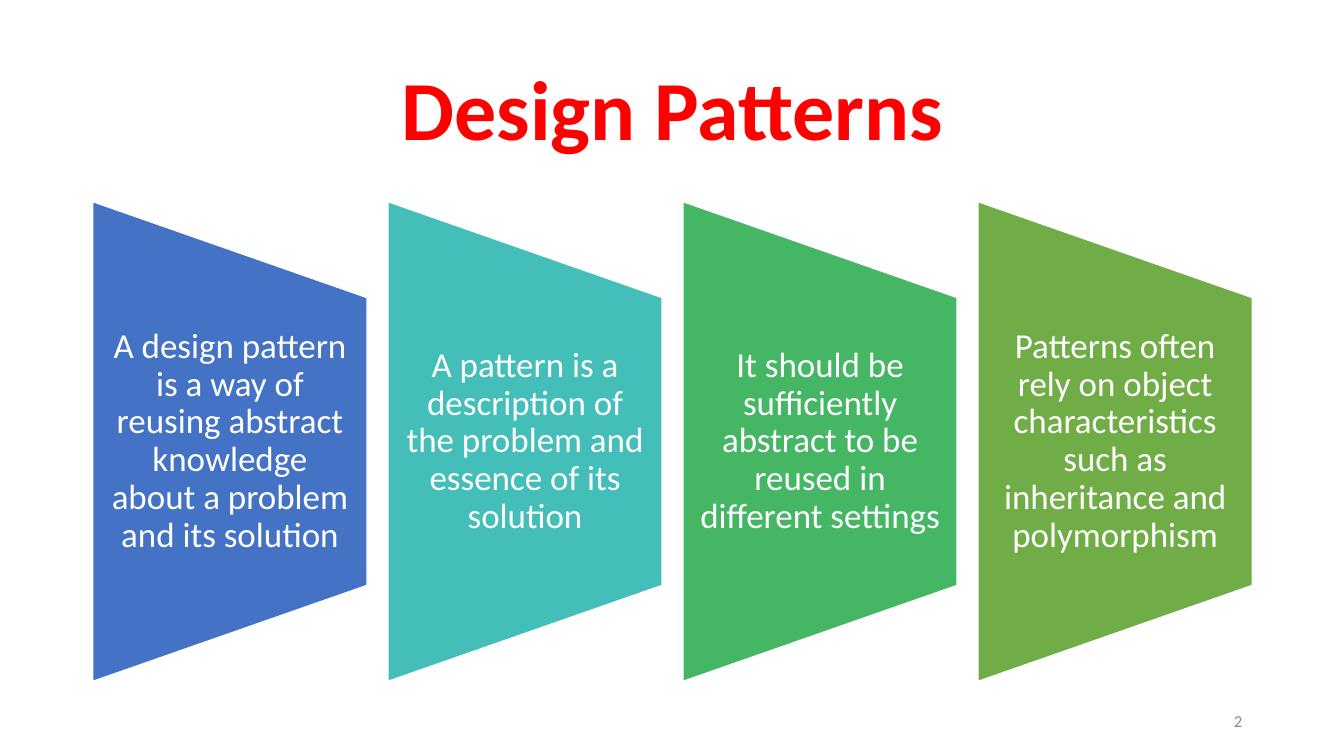
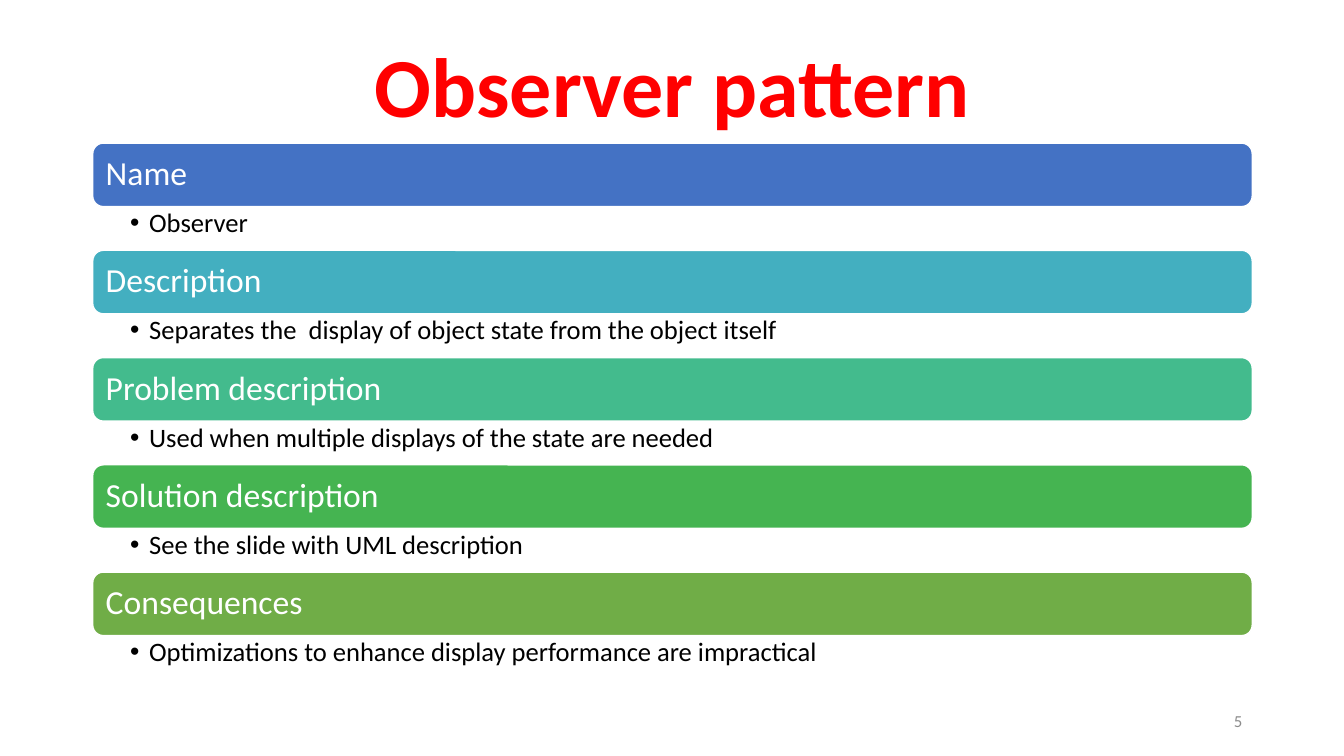
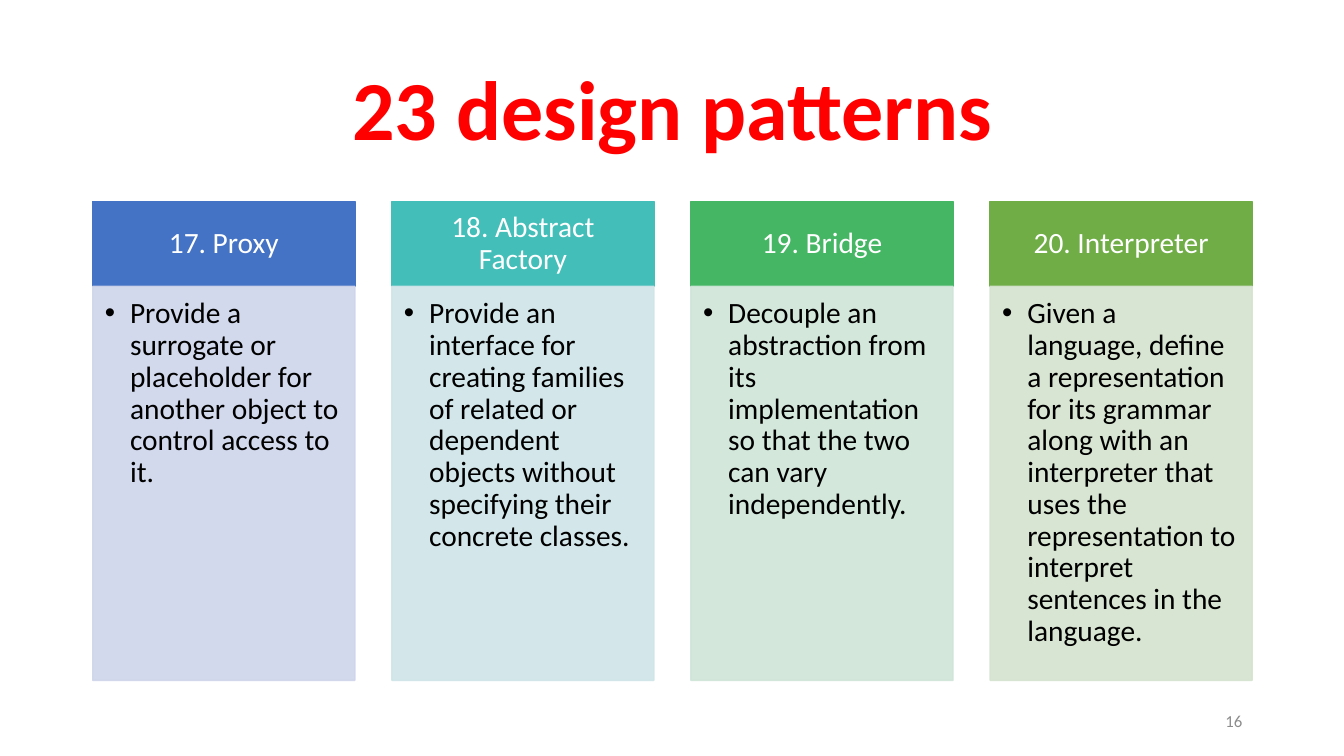
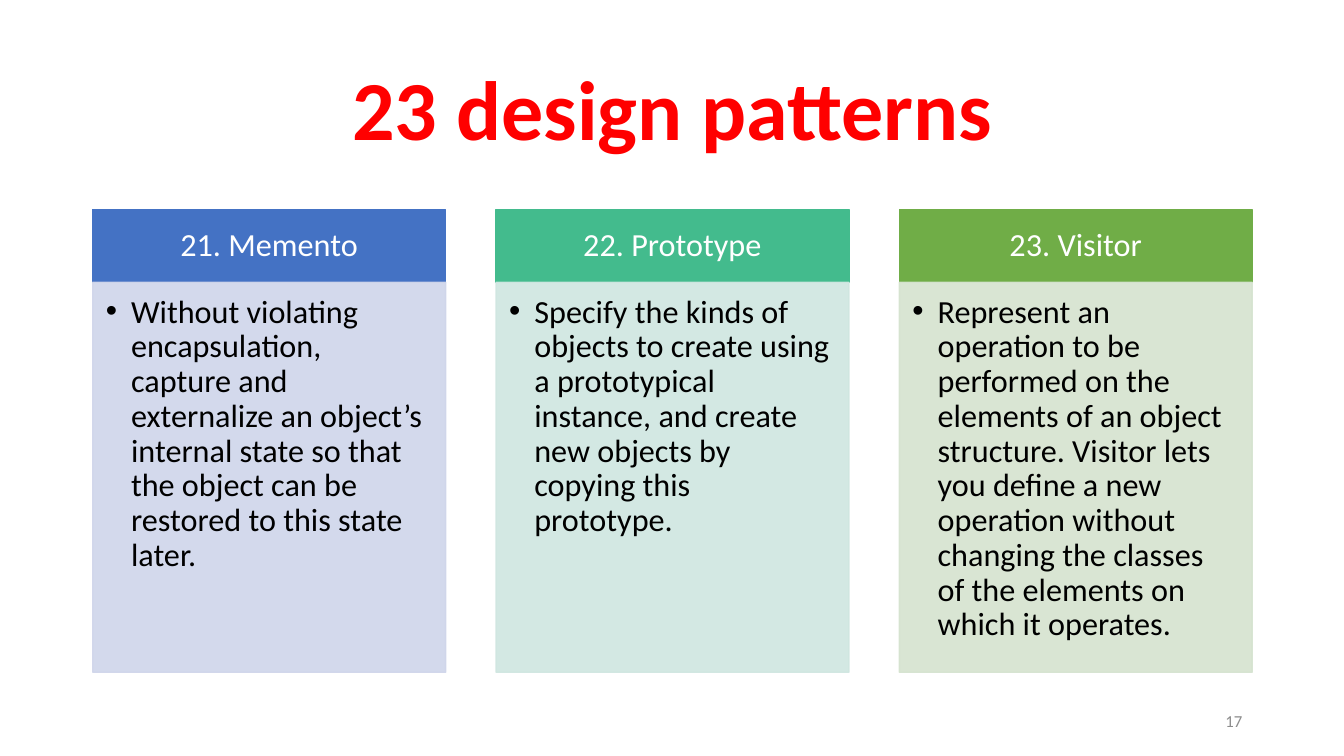
from dataclasses import dataclass

from lxml.etree import SubElement
from pptx import Presentation
from pptx.dml.color import RGBColor
from pptx.enum.shapes import MSO_SHAPE as Shape
from pptx.enum.text import MSO_ANCHOR as Anchor, MSO_AUTO_SIZE as Fit, PP_ALIGN as Align
from pptx.oxml.ns import qn
from pptx.util import Inches, Pt


# Shared look
@dataclass(frozen=True)
class Theme:
    font: str = "Calibri"
    red: str = "FF0000"
    white: str = "FFFFFF"
    black: str = "000000"
    gray: str = "8C8C8C"
    blue: str = "4472C4"
    sky: str = "43AFC0"
    teal: str = "43BEB9"
    mint: str = "43BB8D"
    green: str = "45B664"
    leaf: str = "45B451"
    olive: str = "70AD47"
    pale_blue: str = "CFD5EA"
    pale_teal: str = "CFE5E8"
    pale_mint: str = "CFE6E0"
    pale_green: str = "CFE5D8"
    pale_olive: str = "D5E3CF"
    title: int = 60
    lead: int = 25
    band: int = 24
    note: int = 19
    foot: int = 12
    left: float = 0.92
    wide: float = 11.5


T = Theme()
INSET = (0.1, 0.05, 0.1, 0.05)


def place(left, top, wide, high):
    return [Inches(n) for n in (left, top, wide, high)]


def spread(count, wide):
    """Left edges of equal columns across the content width."""
    step = (T.wide - wide) / (count - 1)
    return [T.left + i * step for i in range(count)]


# Text
def write(shape, text, size, color, align=Align.LEFT, anchor=Anchor.MIDDLE,
          inset=INSET, bold=False, space=0.9):
    frame = shape.text_frame
    frame.text = text
    frame.word_wrap = True
    frame.auto_size = Fit.NONE
    frame.vertical_anchor = anchor
    (frame.margin_left, frame.margin_top,
     frame.margin_right, frame.margin_bottom) = [Inches(n) for n in inset]
    para = frame.paragraphs[0]
    para.alignment = align
    para.line_spacing = space
    font = para.runs[0].font
    font.name, font.size, font.bold = T.font, Pt(size), bold
    font.color.rgb = RGBColor.from_string(color)


def bullet(shape, indent):
    props = shape.text_frame.paragraphs[0]._p.get_or_add_pPr()
    props.set("marL", str(Inches(indent)))
    props.set("indent", str(-Inches(indent)))
    SubElement(props, qn("a:buFont"), typeface="Arial")
    SubElement(props, qn("a:buChar"), char="•")


# Shapes
def block(slide, kind, box, fill, line, alpha=None):
    shape = slide.shapes.add_shape(kind, *place(*box))
    shape.shadow.inherit = False
    shape.fill.solid()
    shape.fill.fore_color.rgb = RGBColor.from_string(fill)
    shape.line.color.rgb = RGBColor.from_string(line)
    shape.line.width = Pt(1)
    if alpha:
        for color in list(shape.element.spPr.iter(qn("a:srgbClr"))):
            SubElement(color, qn("a:alpha"), val=str(alpha * 1000))
    return shape


def label(slide, box, *args, **style):
    shape = slide.shapes.add_textbox(*place(*box))
    write(shape, *args, **style)
    return shape


def start(deck, title, page, high=1.45):
    """Slide with its title and page number."""
    slide = deck.slides.add_slide(deck.slide_layouts[5])
    head = slide.shapes.title
    head.left, head.top, head.width, head.height = place(T.left, 0.4, T.wide, high)
    write(head, title, T.title, T.red, Align.CENTER, bold=True)
    label(slide, (9.42, 6.95, 3, 0.4), str(page), T.foot, T.gray,
          align=Align.RIGHT, space=1)
    return slide


# Content kinds
def wedges(slide, items):
    wide, high, top = 2.72, 4.76, 2
    for left, (text, fill) in zip(spread(len(items), wide), items):
        # The wedge is a wide shape turned a quarter about its centre
        shift = (high - wide) / 2
        shape = block(slide, Shape.FLOWCHART_MANUAL_OPERATION,
                      (left - shift, top + shift, high, wide), fill, T.white)
        shape.rotation = 270
        label(slide, (left, top + high / 5, wide, high * 3 / 5), text, T.lead,
              T.white, align=Align.CENTER, inset=(0.17, 0, 0.17, 0))


def bands(slide, items):
    top, band, note = 1.42, 0.63, 0.43
    step = (6.74 - top) / len(items)
    for i, (name, text, fill) in enumerate(items):
        y = top + i * step
        bar = block(slide, Shape.ROUNDED_RECTANGLE, (T.left, y, T.wide, band),
                    fill, T.white)
        write(bar, name, T.band, T.white, inset=(0.1, 0.1, 0.1, 0.1))
        line = label(slide, (T.left, y + band, T.wide, note), text, T.note, T.black,
                     anchor=Anchor.TOP, inset=(0.37, 0.03, 0.19, 0.03))
        bullet(line, 0.19)


def cards(slide, items, top, wide, head, body, size, side, pad):
    for left, (name, text, fill, pale) in zip(spread(len(items), wide), items):
        cap = block(slide, Shape.RECTANGLE, (left, top, wide, head), fill, fill)
        write(cap, name, size, T.white, Align.CENTER, inset=(side, 0.09, side, 0.09))
        card = block(slide, Shape.RECTANGLE, (left, top + head, wide, body),
                     pale, pale, alpha=90)
        write(card, text, size, T.black, anchor=Anchor.TOP,
              inset=(pad, pad, side, 0.18))
        bullet(card, 0.25)


def main():
    deck = Presentation()
    deck.slide_width, deck.slide_height = Inches(13.33), Inches(7.5)

    wedges(start(deck, "Design Patterns", 2), [
        ("A design pattern is a way of reusing abstract knowledge about a problem "
         "and its solution", T.blue),
        ("A pattern is a description of the problem and essence of its solution",
         T.teal),
        ("It should be sufficiently abstract to be reused in different settings",
         T.green),
        ("Patterns often rely on object characteristics such as inheritance and "
         "polymorphism", T.olive),
    ])

    bands(start(deck, "Observer pattern", 5, high=1), [
        ("Name", "Observer", T.blue),
        ("Description", "Separates the  display of object state from the object itself",
         T.sky),
        ("Problem description", "Used when multiple displays of the state are needed",
         T.mint),
        ("Solution description", "See the slide with UML description", T.leaf),
        ("Consequences", "Optimizations to enhance display performance are impractical",
         T.olive),
    ])

    cards(start(deck, "23 design patterns", 16), [
        ("17. Proxy", "Provide a surrogate or placeholder for another object to "
         "control access to it.", T.blue, T.pale_blue),
        ("18. Abstract Factory", "Provide an interface for creating families of "
         "related or dependent objects without specifying their concrete classes.",
         T.teal, T.pale_teal),
        ("19. Bridge", "Decouple an abstraction from its implementation so that the "
         "two can vary independently.", T.green, T.pale_green),
        ("20. Interpreter", "Given a language, define a representation for its grammar "
         "along with an interpreter that uses the representation to interpret "
         "sentences in the language.", T.olive, T.pale_olive),
    ], top=2, wide=2.6, head=0.84, body=3.91, size=21, side=0.16, pad=0.12)

    cards(start(deck, "23 design patterns", 17), [
        ("21. Memento", "Without violating encapsulation, capture and externalize an "
         "object’s internal state so that the object can be restored to this state "
         "later.", T.blue, T.pale_blue),
        ("22. Prototype", "Specify the kinds of objects to create using a prototypical "
         "instance, and create new objects by copying this prototype.",
         T.mint, T.pale_mint),
        ("23. Visitor", "Represent an operation to be performed on the elements of an "
         "object structure. Visitor lets you define a new operation without changing "
         "the classes of the elements on which it operates.", T.olive, T.pale_olive),
    ], top=2.08, wide=3.5, head=0.72, body=3.87, size=23, side=0.18, pad=0.13)

    deck.save("out.pptx")


if __name__ == "__main__":
    main()
